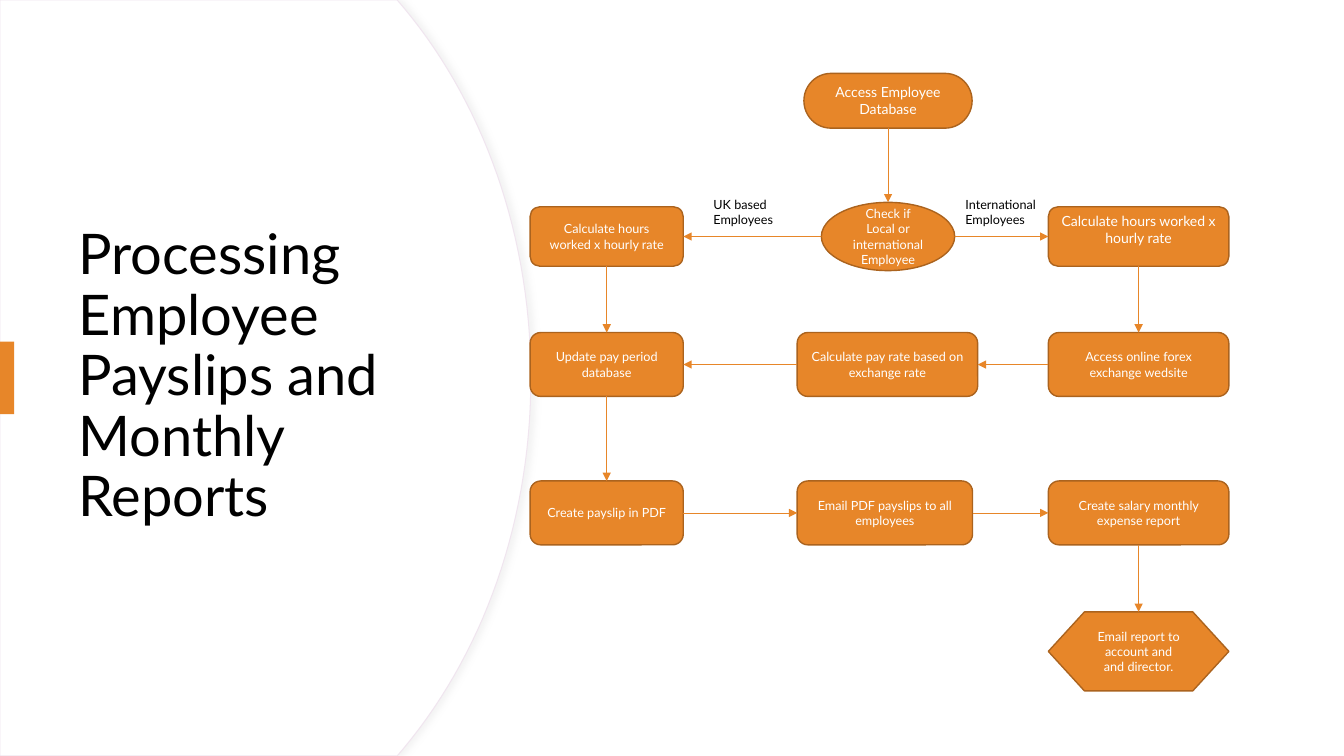
import pptx
import pptx.util
import pptx.dml.color
import pptx.enum.shapes
import pptx.enum.text
import pptx.oxml
import pptx.oxml.ns

Cm, Pt = pptx.util.Cm, pptx.util.Pt
RGBColor = pptx.dml.color.RGBColor
Kind = pptx.enum.shapes.MSO_SHAPE
Align = pptx.enum.text.PP_ALIGN
Anchor = pptx.enum.text.MSO_ANCHOR

ORANGE = RGBColor(0xE7, 0x86, 0x29)
BROWN = RGBColor(0xAB, 0x63, 0x1E)
BLACK = RGBColor(0, 0, 0)
WHITE = RGBColor(0xFF, 0xFF, 0xFF)
PALE = RGBColor(0xF0, 0xE5, 0xEF)
SPACE = pptx.oxml.ns.nsdecls("a")
WIDE, HIGH = 33.87, 19.05


def write(shape, text, size=9, color=WHITE, align=Align.CENTER,
          anchor=Anchor.MIDDLE, space=None):
    frame = shape.text_frame
    frame.word_wrap = True
    frame.auto_size = pptx.enum.text.MSO_AUTO_SIZE.NONE
    frame.vertical_anchor = anchor
    frame.text = text
    for para in frame.paragraphs:
        para.alignment = align
        para.line_spacing = space
        para.font.name = "Lato"
        para.font.size = Pt(size)
        para.font.color.rgb = color


deck = pptx.Presentation()
deck.slide_width, deck.slide_height = Cm(WIDE), Cm(HIGH)
slide = deck.slides.add_slide(deck.slide_layouts[5])
shapes = slide.shapes

# Curved panel behind the title
bend = [(10.18, 0.2), (12.17, 2.59), (13.38, 5.89), (13.38, HIGH / 2)]
steps = 30
upper = [(10.01, 0)]
for step in range(steps + 1):
    t = step / steps
    parts = [(1 - t) ** 3, 3 * t * (1 - t) ** 2, 3 * t ** 2 * (1 - t), t ** 3]
    upper.append(tuple(sum(part * point[axis] for part, point in zip(parts, bend))
                       for axis in (0, 1)))
lower = [(x, HIGH - y) for x, y in reversed(upper[:-1])]
edge = [(Cm(x), Cm(y)) for x, y in upper + lower + [(0, HIGH)]]
pen = shapes.build_freeform(0, 0)
pen.add_line_segments(edge, close=True)
panel = pen.convert_to_shape()
panel.fill.solid()
panel.fill.fore_color.rgb = WHITE
panel.line.color.rgb = PALE
panel.line.width = Pt(0.75)
panel.shadow.inherit = False
panel._element.spPr.find(pptx.oxml.ns.qn("a:effectLst")).append(pptx.oxml.parse_xml(
    f'<a:outerShdw {SPACE} blurRad="50800" dist="38100" dir="0">'
    '<a:srgbClr val="D9D9D9"><a:alpha val="30000"/></a:srgbClr></a:outerShdw>'))
shapes._spTree.insert(2, panel._element)

title = shapes.title
title.left, title.top, title.width, title.height = Cm(1.73), Cm(3.23), Cm(10), Cm(12.57)
write(title, "Processing Employee Payslips and Monthly Reports",
      size=40, color=BLACK, align=Align.LEFT, space=0.9)

bar = shapes.add_shape(Kind.RECTANGLE, 0, Cm(8.61), Cm(0.36), Cm(1.83))
bar.fill.solid()
bar.fill.fore_color.rgb = ORANGE
bar.line.fill.background()
bar.shadow.inherit = False

# Steps of the flow: name, kind, left, top, width, height, text size, text
LEFT, MID, RIGHT = 13.36, 20.09, 26.42
ROW1, ROW2, ROW3, ROW4 = 5.21, 8.38, 12.12, 15.42
SLIM, BROAD, TALL = 3.86, 4.55, 1.61
ROUND = Kind.ROUNDED_RECTANGLE
boxes = [
    ("start", Kind.FLOWCHART_TERMINATOR, 20.26, 1.85, 4.24, 1.38, 10,
     "Access Employee Database"),
    ("check", Kind.OVAL, 20.7, 5.1, 3.36, 1.72, 9,
     "Check if Local or international Employee"),
    ("local", ROUND, LEFT, ROW1, SLIM, 1.5, 9, "Calculate hours worked x hourly rate"),
    ("abroad", ROUND, RIGHT, ROW1, BROAD, 1.5, 10, "Calculate hours worked x hourly rate"),
    ("forex", ROUND, RIGHT, ROW2, BROAD, TALL, 9, "Access online forex exchange wedsite"),
    ("rate", ROUND, MID, ROW2, BROAD, TALL, 9, "Calculate pay rate based on exchange rate"),
    ("update", ROUND, LEFT, ROW2, SLIM, TALL, 9, "Update pay period database"),
    ("payslip", ROUND, LEFT, ROW3, SLIM, TALL, 9, "Create payslip in PDF"),
    ("email", ROUND, MID, ROW3, 4.42, TALL, 9, "Email PDF payslips to all employees"),
    ("report", Kind.FLOWCHART_ALTERNATE_PROCESS, RIGHT, ROW3, BROAD, TALL, 9,
     "Create salary monthly expense report"),
    ("finish", Kind.FLOWCHART_PREPARATION, RIGHT, ROW4, BROAD, 1.99, 9,
     "Email report to account and and director."),
]
nodes = {}
for name, kind, left, top, width, height, size, text in boxes:
    node = shapes.add_shape(kind, Cm(left), Cm(top), Cm(width), Cm(height))
    node.fill.solid()
    node.fill.fore_color.rgb = ORANGE
    node.line.color.rgb = BROWN
    node.line.width = Pt(1)
    node.shadow.inherit = False
    write(node, text, size=size)
    nodes[name] = node
nodes["abroad"].text_frame.margin_bottom = Cm(0.46)

# Arrows: from step, its side, to step, its side
TOP, WEST, BASE, EAST = range(4)
links = [
    ("start", BASE, "check", TOP),
    ("check", WEST, "local", EAST),
    ("check", EAST, "abroad", WEST),
    ("abroad", BASE, "forex", TOP),
    ("forex", WEST, "rate", EAST),
    ("rate", WEST, "update", EAST),
    ("local", BASE, "update", TOP),
    ("update", BASE, "payslip", TOP),
    ("payslip", EAST, "email", WEST),
    ("email", EAST, "report", WEST),
    ("report", BASE, "finish", TOP),
]
for first, leave, second, enter in links:
    source, target = nodes[first], nodes[second]
    x = source.left + (source.width if leave == EAST else 0)
    y = source.top + source.height // 2
    arrow = shapes.add_connector(pptx.enum.shapes.MSO_CONNECTOR.STRAIGHT, x, y, x, y)
    if first != "check":  # an oval numbers its side points differently
        arrow.begin_connect(source, leave)
    arrow.end_connect(target, enter)
    arrow.line.color.rgb = ORANGE
    arrow.line.width = Pt(0.5)
    arrow.line._get_or_add_ln().append(
        pptx.oxml.parse_xml(f'<a:tailEnd {SPACE} type="triangle"/>'))
    arrow._element.spPr.append(pptx.oxml.parse_xml(f"<a:effectLst {SPACE}/>"))

for left, text in [(17.73, "UK based Employees"), (24.08, "International\nEmployees")]:
    label = shapes.add_textbox(Cm(left), Cm(4.83), Cm(2.36), Cm(1.02))
    write(label, text, color=BLACK, align=Align.LEFT, anchor=Anchor.TOP)

deck.save("out.pptx")
